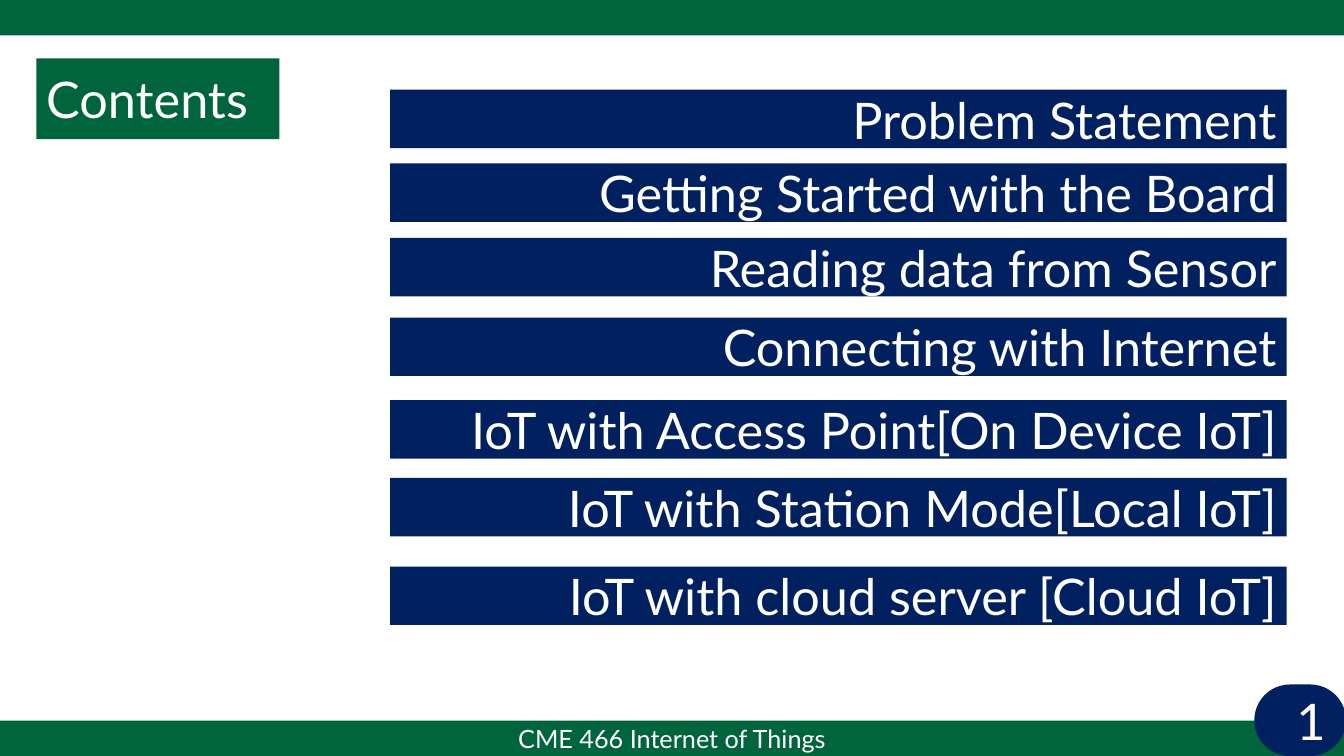
from dataclasses import dataclass

from pptx import Presentation
from pptx import util as u
from pptx.dml.color import RGBColor
from pptx.enum import shapes, text


@dataclass(frozen=True)
class Theme:
    green: RGBColor = RGBColor(0x00, 0x64, 0x3C)
    navy: RGBColor = RGBColor(0x00, 0x20, 0x60)
    white: RGBColor = RGBColor(0xFF, 0xFF, 0xFF)
    font: str = "Lato"
    heading: int = 36
    footer: int = 18


theme = Theme()
LEFT, CENTER, RIGHT = text.PP_ALIGN.LEFT, text.PP_ALIGN.CENTER, text.PP_ALIGN.RIGHT
WIDTH, HEIGHT, BAND = 13.33, 7.5, 0.35

prs = Presentation()
prs.slide_width = u.Inches(WIDTH)
prs.slide_height = u.Inches(HEIGHT)
s = prs.slides.add_slide(prs.slide_layouts[6])


def add_bar(x, y, w, h, fill, label="", align=LEFT, size=theme.heading, rounding=0):
    sp = s.shapes.add_shape(shapes.MSO_SHAPE.ROUNDED_RECTANGLE,
                            u.Inches(x), u.Inches(y), u.Inches(w), u.Inches(h))
    sp.adjustments[0] = rounding
    sp.shadow.inherit = False
    sp.fill.solid()
    sp.fill.fore_color.rgb = fill
    sp.line.fill.background()
    if label:
        tf = sp.text_frame
        tf.word_wrap = True
        tf.vertical_anchor = text.MSO_ANCHOR.MIDDLE
        tf.text = label
        p = tf.paragraphs[0]
        p.alignment = align
        r = p.runs[0]
        r.font.name = theme.font
        r.font.size = u.Pt(size)
        r.font.color.rgb = theme.white


# Header and footer bands
add_bar(0, 0, WIDTH, BAND, theme.green)
add_bar(0, HEIGHT - BAND, WIDTH, BAND, theme.green,
        "CME 466 Internet of Things", CENTER, theme.footer)

# Title
add_bar(0.36, 0.58, 2.41, 0.8, theme.green, "Contents")

# Contents list
topics = [
    (0.89, "Problem Statement"),
    (1.62, "Getting Started with the Board"),
    (2.36, "Reading data from Sensor"),
    (3.15, "Connecting with Internet"),
    (3.97, "IoT with Access Point[On Device IoT]"),
    (4.74, "IoT with Station Mode[Local IoT]"),
    (5.62, "IoT with cloud server [Cloud IoT]"),
]
for top, topic in topics:
    add_bar(3.87, top, 8.89, 0.58, theme.navy, topic, RIGHT)

# Page number badge
add_bar(12.44, 6.79, 0.91, 0.71, theme.navy, "1", RIGHT, rounding=0.5)

prs.save("out.pptx")
